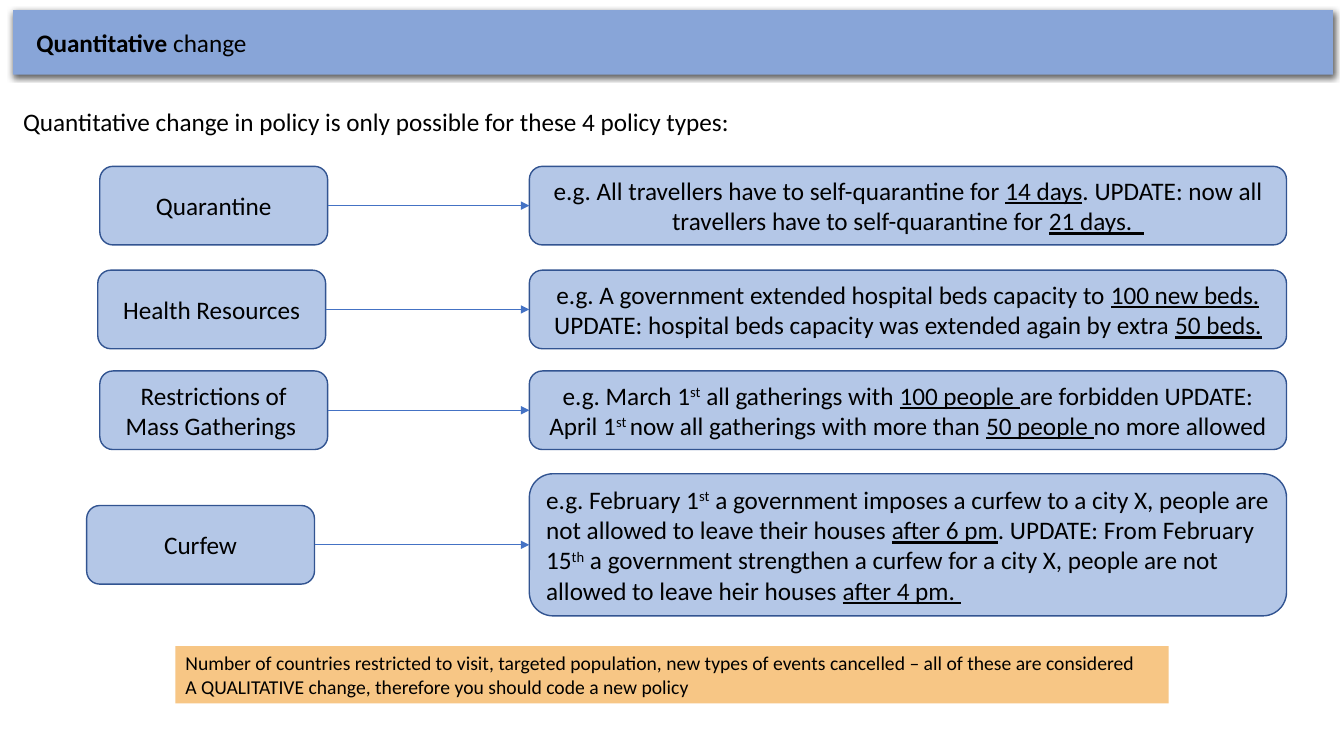
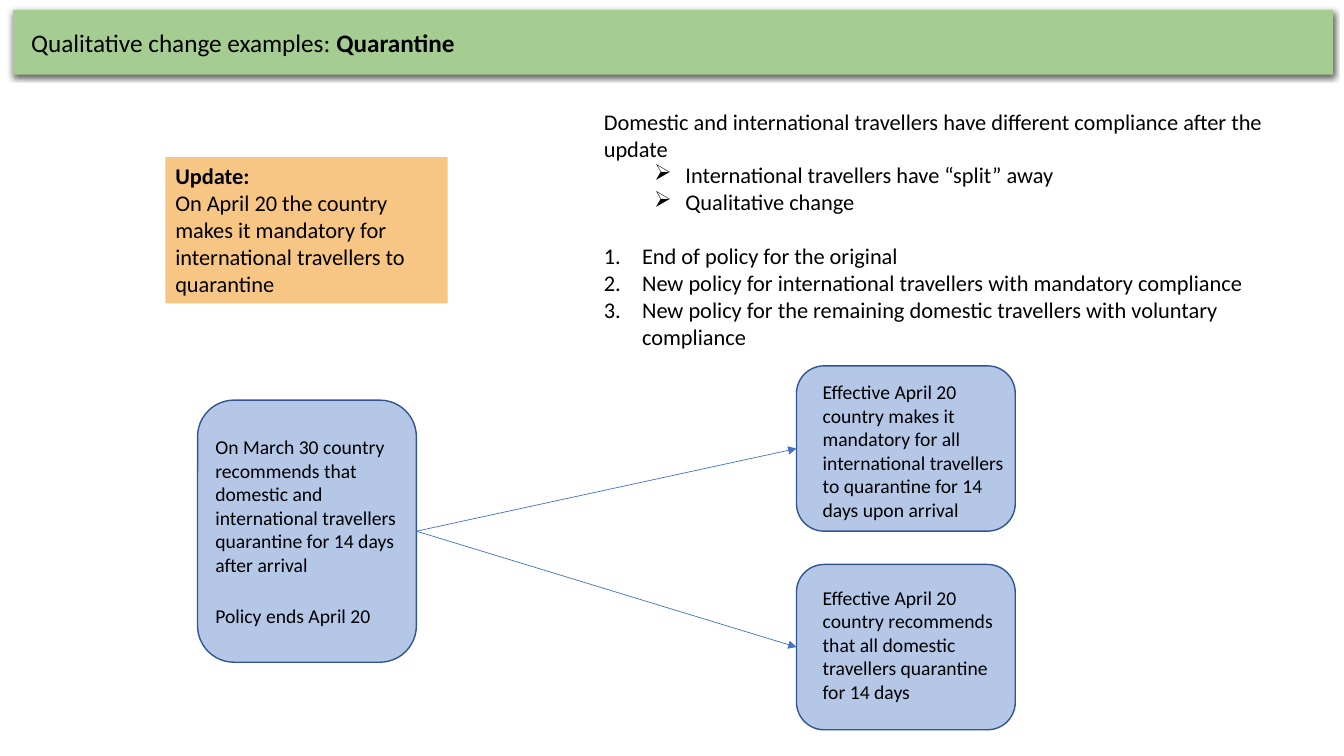
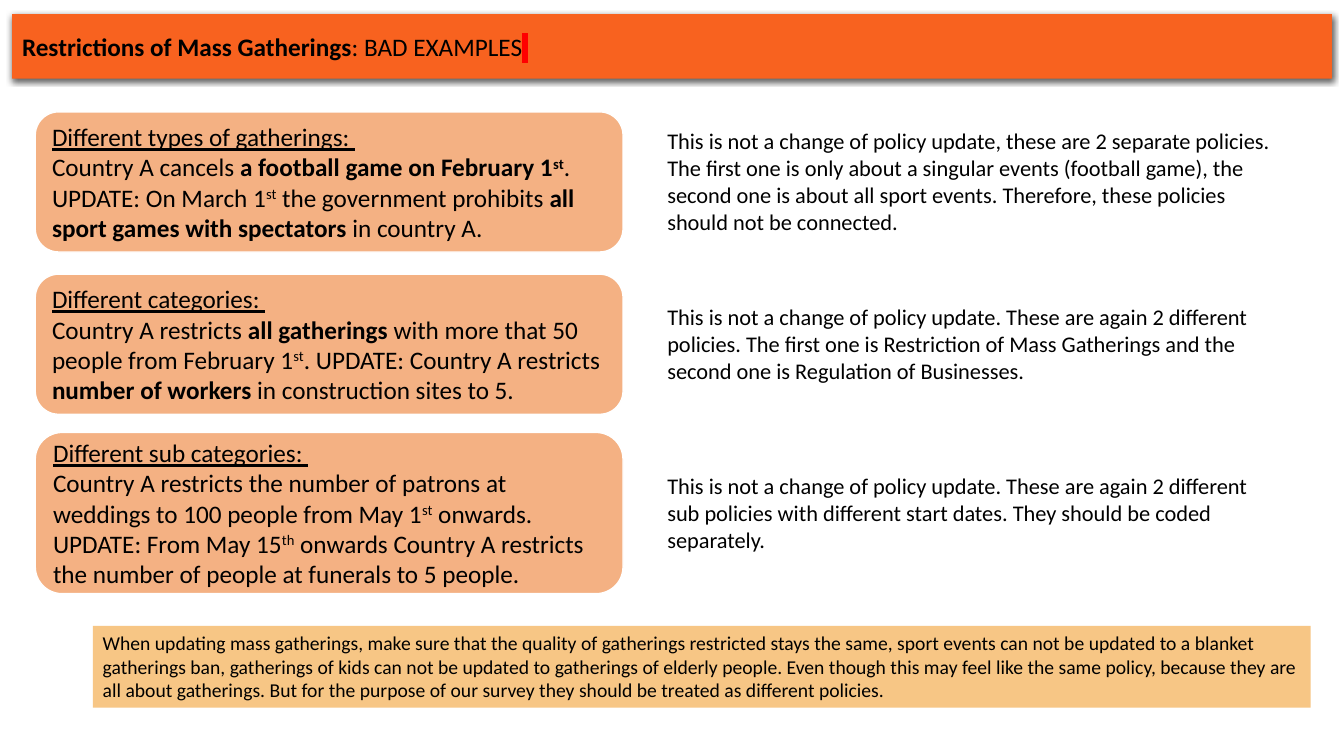
from dataclasses import dataclass

from lxml import etree
from pptx import Presentation
from pptx import util as u
from pptx.dml.color import RGBColor
from pptx.enum import shapes, text
from pptx.oxml.ns import qn


@dataclass(frozen=True)
class Theme:
    font: str = "Calibri"
    ink: str = "000000"
    blue_band: str = "88A5D8"
    green_band: str = "A5CD92"
    orange_band: str = "F8621F"
    blue_box: str = "B4C7E7"
    blue_edge: str = "325491"
    orange_box: str = "F4B183"
    orange_edge: str = "FFFFFF"
    note: str = "F7C685"
    arrow: str = "4472C4"
    highlight: str = "FF0000"
    large: int = 18
    medium: int = 16
    small: int = 14


THEME = Theme()
ROUND = shapes.MSO_SHAPE.ROUNDED_RECTANGLE
RECT = shapes.MSO_SHAPE.RECTANGLE
LEFT, CENTER = text.PP_ALIGN.LEFT, text.PP_ALIGN.CENTER
TOP, MIDDLE = text.MSO_ANCHOR.TOP, text.MSO_ANCHOR.MIDDLE
INSETS = (0.1, 0.05, 0.1, 0.05)


def color(value):
    return RGBColor.from_string(value)


def child(parent, tag, **attributes):
    node = etree.SubElement(parent, qn(tag))
    for key, value in attributes.items():
        node.set(key, str(value))
    return node


# Text: * toggles bold, _ underline, ^ superscript, | highlight
def add_spans(para, marked):
    on = dict.fromkeys("*_^|", False)
    piece = ""

    def flush():
        if not piece:
            return
        span = para.add_run()
        span.text = piece
        if on["*"]:
            span.font.bold = True
        if on["_"]:
            span.font.underline = True
        properties = span.font._element
        if on["^"]:
            properties.set("baseline", "30000")
        if on["|"]:
            child(child(properties, "a:highlight"), "a:srgbClr", val=THEME.highlight)

    for letter in marked:
        if letter in on:
            flush()
            piece = ""
            on[letter] = not on[letter]
        else:
            piece += letter
    flush()


def add_bullet(para, margin, hang, symbol=None):
    properties = para._p.get_or_add_pPr()
    properties.set("marL", str(u.Inches(margin)))
    properties.set("indent", str(u.Inches(-hang)))
    if symbol:
        child(properties, "a:buChar", char=symbol)
    else:
        child(properties, "a:buAutoNum", type="arabicPeriod")


def write(shape, lines, size, align=LEFT, anchor=TOP, insets=INSETS, bullets=None, gaps=None):
    """bullets and gaps map a line's index to its bullet and its space before."""
    frame = shape.text_frame
    frame.word_wrap = True
    frame.vertical_anchor = anchor
    (frame.margin_left, frame.margin_top,
     frame.margin_right, frame.margin_bottom) = map(u.Inches, insets)
    for index, line in enumerate(lines):
        para = frame.paragraphs[0] if index == 0 else frame.add_paragraph()
        para.alignment = align
        if gaps and index in gaps:
            para.space_before = u.Pt(gaps[index])
        if bullets and index in bullets:
            add_bullet(para, *bullets[index])
        para.font.name = THEME.font
        para.font.size = u.Pt(size)
        para.font.color.rgb = color(THEME.ink)
        add_spans(para, line)


# Shared parts
def add_box(page, box, fill, edge=None, kind=ROUND):
    shape = page.shapes.add_shape(kind, *map(u.Inches, box))
    shape.shadow.inherit = False
    shape.fill.solid()
    shape.fill.fore_color.rgb = color(fill)
    if edge:
        shape.line.color.rgb = color(edge)
        shape.line.width = u.Pt(1)
    else:
        shape.line.fill.background()
    return shape


def add_text(page, box, lines, size, **style):
    write(page.shapes.add_textbox(*map(u.Inches, box)), lines, size, **style)


def add_band(page, title, fill, left=0.13, top=0.1, indent=0.1):
    band = add_box(page, (left, top, 13.09, 0.64), fill, kind=RECT)
    effects = band._element.spPr.find(qn("a:effectLst"))
    shadow = child(effects, "a:outerShdw", blurRad=u.Pt(4.5), dist=u.Pt(1.5),
                   dir=5400000, algn="ctr", rotWithShape=0)
    child(child(shadow, "a:srgbClr", val="000000"), "a:alpha", val=63000)
    write(band, [title], THEME.large, anchor=MIDDLE, insets=(indent, 0.05, 0.1, 0.05))


def add_note(page, box, lines, size):
    write(add_box(page, box, THEME.note, kind=RECT), lines, size)


def add_arrow(page, source, target):
    arrow = page.shapes.add_connector(shapes.MSO_CONNECTOR.STRAIGHT, 0, 0, 0, 0)
    arrow.begin_connect(source, 3)
    arrow.end_connect(target, 1)
    arrow.line.color.rgb = color(THEME.arrow)
    arrow.line.width = u.Pt(0.5)
    child(arrow.line._get_or_add_ln(), "a:tailEnd", type="triangle")
    child(arrow._element.spPr, "a:effectLst")


# Slide 1: policy types, each with an example
def add_policy_row(page, box, label_left, label, example, align):
    left, top, width, height = box
    label_height = 0.78
    label_top = top + (height - label_height) / 2
    policy = add_box(page, (label_left, label_top, 2.26, label_height),
                     THEME.blue_box, THEME.blue_edge)
    write(policy, [label], THEME.large, align=CENTER, anchor=MIDDLE)
    case = add_box(page, box, THEME.blue_box, THEME.blue_edge)
    write(case, [example], THEME.large, align=align, anchor=MIDDLE)
    add_arrow(page, policy, case)


def build_quantitative(page):
    add_band(page, "*Quantitative* change", THEME.blue_band, indent=0.23)
    add_text(page, (0.13, 1.01, 7.29, 0.4),
             ["Quantitative change in policy is only possible for these 4 policy types:"],
             THEME.large)
    rows = [
        (1.65, 0.78, 0.99, "Quarantine",
         "e.g. All travellers have to self-quarantine for _14 days_. UPDATE: now all "
         "travellers have to self-quarantine for _21 days.  _", CENTER),
        (2.68, 0.78, 0.97, "Health Resources",
         "e.g. A government extended hospital beds capacity to _100 new beds._ UPDATE: "
         "hospital beds capacity was extended again by extra _50 beds._", CENTER),
        (3.68, 0.78, 0.99, "Restrictions of Mass Gatherings ",
         "e.g. March 1^st^ all gatherings with _100 people _are forbidden UPDATE: "
         "April 1^st ^now all gatherings with more than _50 people _no more allowed", CENTER),
        (4.7, 1.41, 0.86, "Curfew",
         "e.g. February 1^st^ a government imposes a curfew to a city X, people are not "
         "allowed to leave their houses _after 6 pm_. UPDATE: From February 15^th^ a "
         "government strengthen a curfew for a city X, people are not allowed to leave "
         "heir houses _after 4 pm. _", LEFT),
    ]
    for top, height, label_left, label, example, align in rows:
        add_policy_row(page, (5.25, top, 7.51, height), label_left, label, example, align)
    add_note(page, (1.74, 6.41, 9.85, 0.57),
             ["Number of countries restricted to visit, targeted population, new types of "
              "events cancelled – all of these are considered",
              "A QUALITATIVE change, therefore you should code a new policy"], THEME.small)


# Slide 2: one policy splitting into two
def add_policy_card(page, box, lines, insets, gaps=None):
    card = add_box(page, box, THEME.blue_box, THEME.blue_edge)
    write(card, lines, THEME.small, insets=insets, gaps=gaps)
    return card


def build_quarantine(page):
    add_band(page, "Qualitative change examples: *Quarantine*", THEME.green_band, indent=0.18)
    add_note(page, (1.64, 1.56, 2.8, 1.45),
             ["*Update:*",
              "On April 20 the country makes it mandatory for international travellers "
              "to quarantine"], THEME.medium)
    arrowed, numbered = (0.81, 0.31, "➢"), (0.38, 0.38)
    add_text(page, (5.89, 1.02, 7.18, 2.52),
             ["Domestic and international travellers have different compliance after the update",
              "International travellers have “split” away",
              "Qualitative change",
              "End of policy for the original",
              "New policy for international travellers with mandatory compliance",
              "New policy for the remaining domestic travellers with voluntary compliance"],
             THEME.medium, gaps={3: 19.5},
             bullets={1: arrowed, 2: arrowed, 3: numbered, 4: numbered, 5: numbered})
    # Policy before and after the split
    before = add_policy_card(
        page, (1.96, 3.97, 2.17, 2.6),
        ["On March 30 country recommends that domestic and international travellers "
         "quarantine for 14 days after arrival", "Policy ends April 20"],
        (0.07, 0.24, 0.07, 0), gaps={1: 20})
    successors = [
        (3.63, 0.06, "Effective April 20 country makes it mandatory for all international "
                     "travellers to quarantine for 14 days upon arrival"),
        (5.6, 0.13, "Effective April 20 country recommends that all domestic travellers "
                    "quarantine for 14 days"),
    ]
    for top, inset, wording in successors:
        after = add_policy_card(page, (7.9, top, 2.17, 1.64), [wording],
                                (0.18, inset, 0.02, 0))
        add_arrow(page, before, after)


# Slide 3: bad examples, each with a reason
def add_bad_example(page, box, example, reason, reason_height):
    left, top, width, height = box
    case = add_box(page, box, THEME.orange_box, THEME.orange_edge)
    write(case, example, THEME.large, anchor=MIDDLE)
    reason_top = top + (height - reason_height) / 2
    add_text(page, (left + width + 0.34, reason_top, 6.24, reason_height),
             [reason], THEME.medium)


def build_bad_examples(page):
    add_band(page, "*Restrictions of Mass Gatherings*: BAD EXAMPLES| |",
             THEME.orange_band, left=0.12, top=0.14)
    examples = [
        (1.11, 1.39,
         ["_Different types of gatherings: _",
          "Country A cancels *a football game on February 1^st^*. UPDATE: On March 1^st^ the "
          "government prohibits *all sport games with spectators* in country A."],
         "This is not a change of policy update, these are 2 separate policies. The first "
         "one is only about a singular events (football game), the second one is about all "
         "sport events. Therefore, these policies should not be connected.", 1.18),
        (2.72, 1.39,
         ["_Different categories: _",
          "Country A restricts *all gatherings *with more that 50 people from February "
          "1^st^. UPDATE: Country A restricts *number of workers* in construction sites to 5."],
         "This is not a change of policy update. These are again 2 different policies. The "
         "first one is Restriction of Mass Gatherings and the second one is Regulation of "
         "Businesses.", 0.91),
        (4.29, 1.6,
         ["_Different sub categories: _",
          "Country A restricts the number of patrons at weddings to 100 people from May "
          "1^st^ onwards. UPDATE: From May 15^th^ onwards Country A restricts the number of "
          "people at funerals to 5 people."],
         "This is not a change of policy update. These are again 2 different sub policies "
         "with different start dates. They should be coded separately.", 0.91),
    ]
    for top, height, example, reason, reason_height in examples:
        add_bad_example(page, (0.35, top, 5.83, height), example, reason, reason_height)
    add_note(page, (0.92, 6.21, 12.08, 0.81),
             ["When updating mass gatherings, make sure that the quality of gatherings "
              "restricted stays the same, sport events can not be updated to a blanket "
              "gatherings ban, gatherings of kids can not be updated to gatherings of elderly "
              "people. Even though this may feel like the same policy, because they are all "
              "about gatherings. But for the purpose of our survey they should be treated as "
              "different policies."], THEME.small)


def main():
    deck = Presentation()
    deck.slide_width, deck.slide_height = u.Inches(13.33), u.Inches(7.5)
    for build in (build_quantitative, build_quarantine, build_bad_examples):
        build(deck.slides.add_slide(deck.slide_layouts[6]))
    deck.save("out.pptx")


if __name__ == "__main__":
    main()
